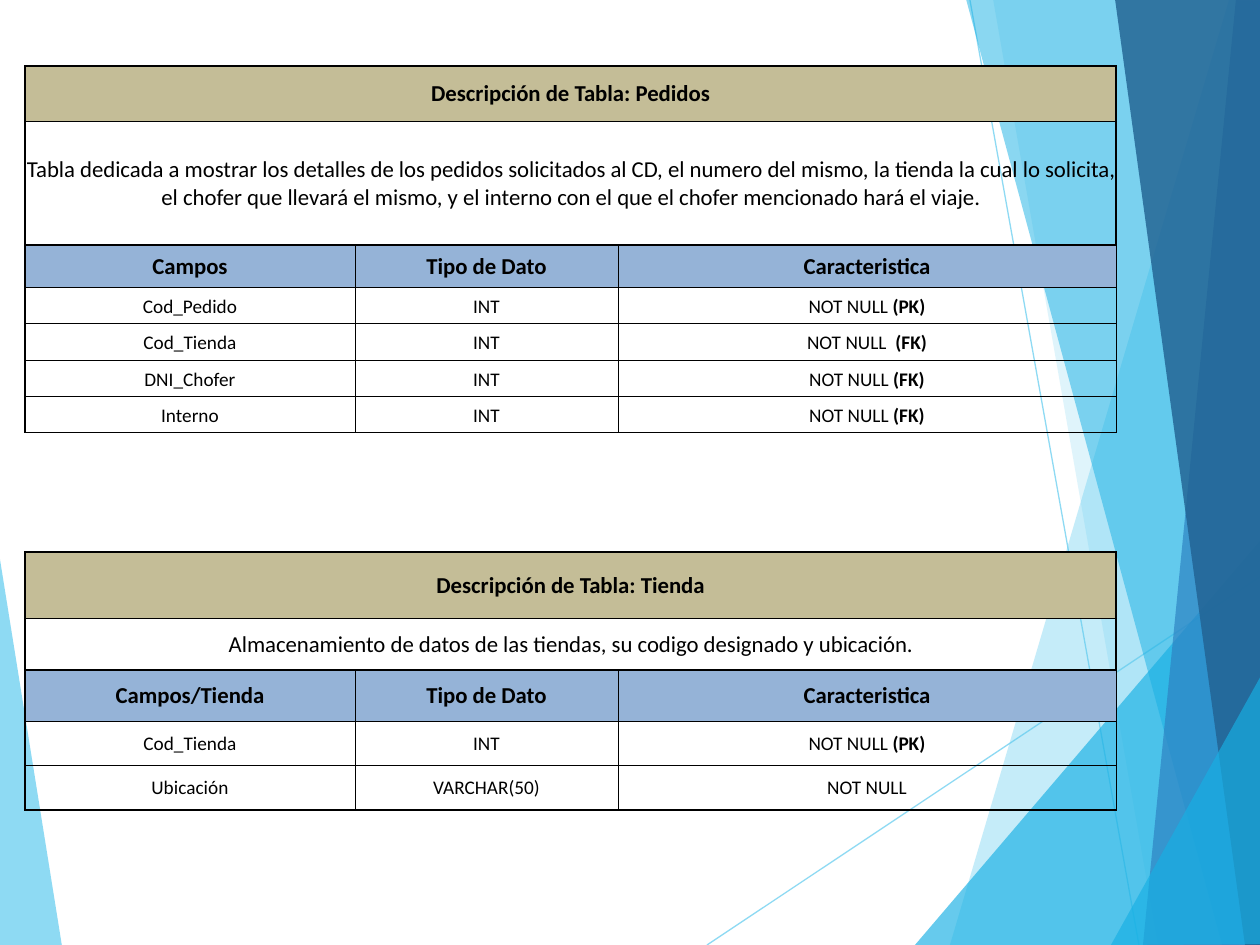
from dataclasses import dataclass

from lxml import etree
from pptx import Presentation
from pptx.dml.color import RGBColor
from pptx.enum.shapes import MSO_CONNECTOR
from pptx.enum.text import MSO_ANCHOR, PP_ALIGN
from pptx.oxml.ns import qn
from pptx.util import Emu, Pt

STRAIGHT = MSO_CONNECTOR.STRAIGHT
MIDDLE = MSO_ANCHOR.MIDDLE
CENTER = PP_ALIGN.CENTER
SCALE = 914400 / 126
THIN, THICK = 0.5, 1

COLORS = {
    "sky": "5FCBEF", "cyan": "17B0E4", "blue": "2E83C3", "navy": "226292",
    "title": "C4BD97", "head": "95B3D7", "black": "000000",
}
CELL_FORMAT = {
    "vertical_anchor": MIDDLE, "margin_left": Emu(9144), "margin_right": Emu(9144),
    "margin_top": Emu(9144), "margin_bottom": 0,
}
TABLE_FORMAT = {"first_row": False, "horz_banding": False}
COLUMNS = (330, 263, 498)
TABLE_LEFT = 25


@dataclass
class Facet:
    color: str
    alpha: int
    points: list[tuple[int, int]]


@dataclass
class Ray:
    start: tuple[int, int]
    end: tuple[int, int]


@dataclass
class Field:
    name: str
    kind: str
    rule: str
    key: str = ""


@dataclass
class Description:
    top: int
    heights: list[int]
    title: str
    text: str
    head: str
    fields: list[Field]


BACKDROP = [
    Facet("sky", 70, [(-1, 553), (62, 946), (-1, 945)]),
    Ray((707, 945), (1261, 576)),
    Ray((970, 0), (1139, 945)),
    Facet("sky", 36, [(1229, 0), (950, 945), (1262, 946), (1261, 1)]),
    Facet("sky", 20, [(993, -1), (1158, 945), (1261, 945), (1261, -1)]),
    Facet("cyan", 66, [(915, 945), (1260, 541), (1261, 945)]),
    Facet("cyan", 50, [(966, -1), (1222, 945), (1261, 944), (1261, -1)]),
    Facet("blue", 70, [(1236, -1), (1143, 945), (1261, 945), (1260, -1)]),
    Facet("navy", 82, [(1115, -1), (1245, 945), (1262, 945), (1260, -1)]),
    Facet("cyan", 66, [(1111, 945), (1262, 674), (1262, 944)]),
]
DESCRIPTIONS = [
    Description(
        66, [55, 124, 43, 36, 37, 36, 36], "Descripción de Tabla: Pedidos",
        "Tabla dedicada a mostrar los detalles de los pedidos solicitados al CD, "
        "el numero del mismo, la tienda la cual lo solicita, el chofer que llevará "
        "el mismo, y el interno con el que el chofer mencionado hará el viaje.",
        "Campos",
        [Field("Cod_Pedido", "INT", "NOT NULL ", "(PK)"),
         Field("Cod_Tienda", "INT", "NOT NULL  ", "(FK)"),
         Field("DNI_Chofer", "INT", "NOT NULL ", "(FK)"),
         Field("Interno", "INT", "NOT NULL ", "(FK)")]),
    Description(
        552, [66, 52, 51, 44, 45], "Descripción de Tabla: Tienda",
        "Almacenamiento de datos de las tiendas, su codigo designado y ubicación.",
        "Campos/Tienda",
        [Field("Cod_Tienda", "INT", "NOT NULL ", "(PK)"),
         Field("Ubicación", "VARCHAR(50)", "NOT NULL")]),
]


def px(n: int) -> Emu:
    return Emu(round(n * SCALE))


def rgb(name: str) -> RGBColor:
    return RGBColor.from_string(COLORS[name])


def apply(obj, values: dict) -> None:
    for name, value in values.items():
        setattr(obj, name, value)


def set_alpha(element, percent: int) -> None:
    color = next(element.iter(qn("a:srgbClr")))
    etree.SubElement(color, qn("a:alpha"), val=str(percent * 1000))


def draw_facet(s, facet: Facet) -> None:
    builder = s.shapes.build_freeform(*facet.points[0], scale=SCALE)
    builder.add_line_segments(facet.points[1:], close=True)
    sp = builder.convert_to_shape()
    sp.shadow.inherit = False
    sp.fill.solid()
    sp.fill.fore_color.rgb = rgb(facet.color)
    set_alpha(sp.fill._xPr, facet.alpha)
    sp.line.fill.background()


def draw_ray(s, ray: Ray) -> None:
    line = s.shapes.add_connector(STRAIGHT, *map(px, ray.start + ray.end))
    line.line.width = Pt(0.75)
    line.line.color.rgb = rgb("sky")
    sp_pr = line._element.spPr
    set_alpha(sp_pr, 70)
    etree.SubElement(sp_pr, qn("a:effectLst"))


def set_borders(cell, widths: dict[str, float]) -> None:
    tc_pr = cell._tc.get_or_add_tcPr()
    for side, width in widths.items():
        ln = etree.SubElement(tc_pr, qn(f"a:ln{side}"), w=str(Pt(width)))
        fill = etree.SubElement(ln, qn("a:solidFill"))
        etree.SubElement(fill, qn("a:srgbClr"), val=COLORS["black"])


def write_cell(cell, runs: list[tuple[str, bool]], size: int, fill: str = "") -> None:
    apply(cell, CELL_FORMAT)
    if fill:
        cell.fill.solid()
        cell.fill.fore_color.rgb = rgb(fill)
    else:
        cell.fill.background()
    p = cell.text_frame.paragraphs[0]
    p.alignment = CENTER
    for text, bold in runs:
        r = p.add_run()
        r.text = text
        apply(r.font, {"name": "Calibri", "size": Pt(size), "bold": bold})
        r.font.color.rgb = rgb("black")


def draw_description(s, d: Description) -> None:
    last = len(d.heights) - 1
    frame = s.shapes.add_table(last + 1, 3, px(TABLE_LEFT), px(d.top),
                               px(sum(COLUMNS)), px(sum(d.heights)))
    table = frame.table
    apply(table, TABLE_FORMAT)
    for column, width in zip(table.columns, COLUMNS):
        column.width = px(width)
    for i, height in enumerate(d.heights):
        table.rows[i].height = px(height)
        for j in range(3):
            set_borders(table.cell(i, j), {
                "L": THICK if j == 0 or i < 2 else THIN,
                "R": THICK if i < 2 else THIN,
                "T": THICK if i in (0, 2) else THIN,
                "B": THICK if i in (1, last) else THIN,
            })
    for i in range(2):
        table.cell(i, 0).merge(table.cell(i, 2))
    write_cell(table.cell(0, 0), [(d.title, True)], 13, "title")
    write_cell(table.cell(1, 0), [(d.text, False)], 13)
    for j, text in enumerate((d.head, "Tipo de Dato", "Caracteristica")):
        write_cell(table.cell(2, j), [(text, True)], 13, "head")
    for i, field in enumerate(d.fields, 3):
        rule = [(field.rule, False)] + ([(field.key, True)] if field.key else [])
        for j, runs in enumerate(([(field.name, False)], [(field.kind, False)], rule)):
            write_cell(table.cell(i, j), runs, 11)


def main() -> None:
    prs = Presentation()
    prs.slide_width, prs.slide_height = px(1260), px(945)
    s = prs.slides.add_slide(prs.slide_layouts[6])
    for item in BACKDROP:
        if isinstance(item, Facet):
            draw_facet(s, item)
        else:
            draw_ray(s, item)
    for d in DESCRIPTIONS:
        draw_description(s, d)
    prs.save("out.pptx")


if __name__ == "__main__":
    main()
